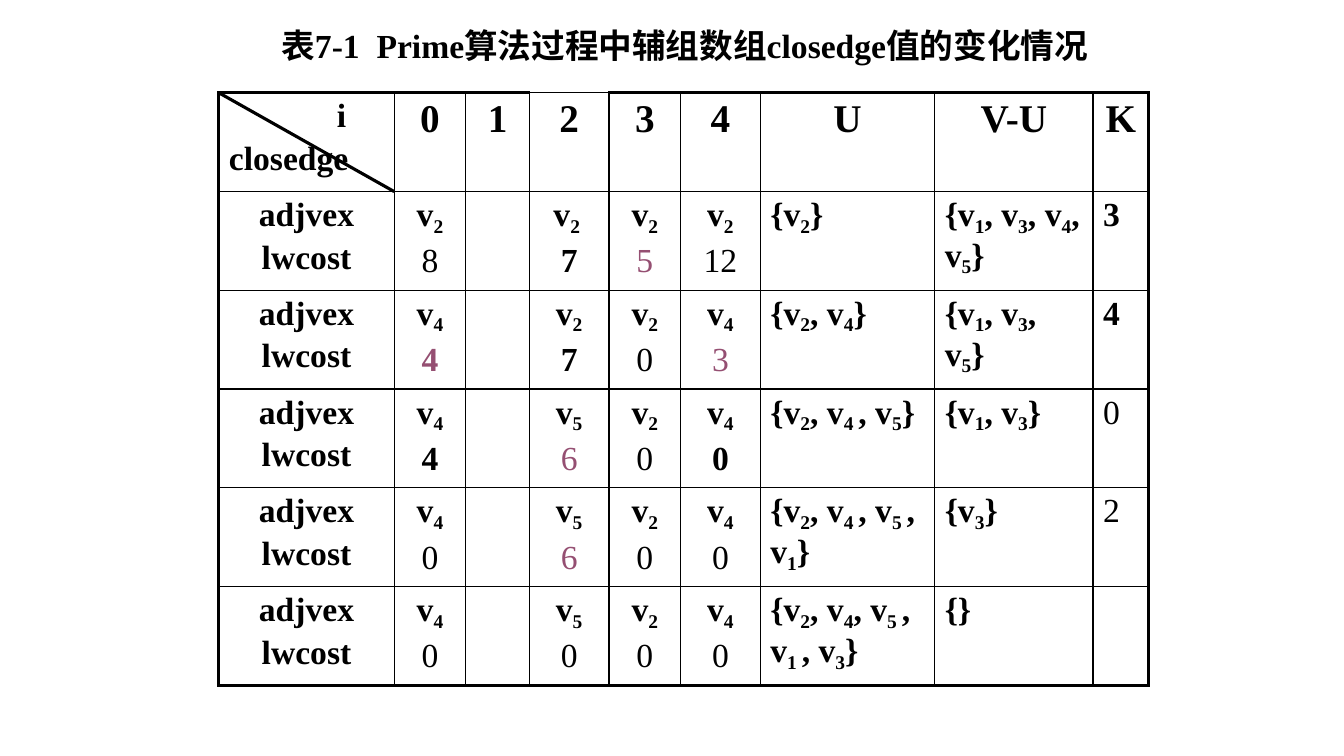
from lxml import etree
from pptx import Presentation
from pptx.dml.color import RGBColor
from pptx.enum.shapes import MSO_CONNECTOR
from pptx.enum.text import MSO_ANCHOR, PP_ALIGN
from pptx.oxml.ns import qn
from pptx.util import Inches, Pt

LINE = MSO_CONNECTOR.STRAIGHT
MIDDLE = MSO_ANCHOR.MIDDLE
LEFT, CENTER = PP_ALIGN.LEFT, PP_ALIGN.CENTER

FONT = "Times New Roman"
INK, ACCENT = "000000", "954F72"
THIN, THICK = 1, 2.25

# Table geometry, in percent of the slide's width and height
X, Y = 16.28, 12.27
COLS = [13.05, 5.33, 4.73, 5.93, 5.33, 5.93, 12.98, 11.78, 4.13]
ROW = 13.07

# "|" parts paragraphs, "_" lowers the next character,
# "~" makes a paragraph regular, "*" gives it the accent colour
HEAD = ["i|closedge", "0", "1", "2", "3", "4", "U", "V-U", "K"]
NAMES = "adjvex|lwcost"
STEPS = [
    ["v_2|~8", "", "v_2 |7", "v_2|~*5", "v_2|~12",
     "{v_2}", "{v_1, v_3, v_4, v_5}", "3"],
    ["v_4|*4", "", "v_2|7", "v_2|~0", "v_4|~*3",
     "{v_2, v_4}", "{v_1, v_3, v_5}", "4"],
    ["v_4|4", "", "v_5|~*6", "v_2|~0", "v_4|0",
     "{v_2, v_4 , v_5}", "{v_1, v_3}", "~0"],
    ["v_4|~0", "", "v_5|~*6", "v_2|~0", "v_4|~0",
     "{v_2, v_4 , v_5 , v_1}", "{v_3}", "~2"],
    ["v_4|~0", "", "v_5|~0", "v_2|~0", "v_4|~0",
     "{v_2, v_4, v_5 , v_1 , v_3}", "{}", ""],
]


def color(code):
    return RGBColor.from_string(code)


def pieces(text):
    """Yield (text, lowered) pairs; a space after an index is lowered too."""
    first, *rest = text.split("_")
    yield first, False
    for part in rest:
        cut = 2 if part[1:2] == " " else 1
        yield part[:cut], True
        yield part[cut:], False


class Page:
    def __init__(self, deck):
        self.wide, self.high = deck.slide_width, deck.slide_height
        self.shapes = deck.slides.add_slide(deck.slide_layouts[6]).shapes
        self.style = {"name": FONT, "size": Pt(24), "bold": True}

    def spot(self, x, y):
        """Turn percentages of the slide into lengths."""
        return round(self.wide * x / 100), round(self.high * y / 100)

    def fill_text(self, frame, text, align, **extra):
        for n, line in enumerate(text.split("|")):
            para = frame.add_paragraph() if n else frame.paragraphs[0]
            para.alignment = align
            if n:
                para.space_before = Pt(4)
            look = {**self.style, **extra}
            if "~" in line:
                look["bold"] = False
            tint = ACCENT if "*" in line else INK
            for words, low in pieces(line.strip("~*")):
                if words:
                    self.add_run(para, words, low, look, tint)

    def add_run(self, para, words, low, look, tint):
        run = para.add_run()
        run.text = words
        for key, value in look.items():
            setattr(run.font, key, value)
        run.font.color.rgb = color(tint)
        if low:
            run._r.get_or_add_rPr().set("baseline", "-20000")

    def label(self, x, y, w, h, text):
        frame = self.shapes.add_textbox(
            *self.spot(x, y), *self.spot(w, h)).text_frame
        frame.word_wrap = False
        frame.vertical_anchor = MIDDLE
        self.fill_text(frame, text, CENTER)

    def line(self, x1, y1, x2, y2):
        rule = self.shapes.add_connector(
            LINE, *self.spot(x1, y1), *self.spot(x2, y2))
        rule.line.color.rgb = color(INK)
        rule.line.width = Pt(THICK)
        etree.SubElement(rule._element.spPr, qn("a:effectLst"))

    def edge(self, cell, sides):
        props = cell._tc.get_or_add_tcPr()
        for side, width in sides.items():
            ln = etree.SubElement(props, qn(f"a:ln{side}"), w=str(int(Pt(width))))
            fill = etree.SubElement(ln, qn("a:solidFill"))
            etree.SubElement(fill, qn("a:srgbClr"), val=INK)

    def table(self, x, y, cols, row, data):
        tall, last = len(data) - 1, len(cols) - 1
        grid = self.shapes.add_table(
            len(data), len(cols), *self.spot(x, y),
            *self.spot(sum(cols), row * len(data))).table
        grid.first_row = grid.horz_banding = False
        for col, width in zip(grid.columns, cols):
            col.width = self.spot(width, 0)[0]
        for r, line in enumerate(data):
            grid.rows[r].height = self.spot(0, row)[1]
            for c, text in enumerate(line):
                cell = grid.cell(r, c)
                # The top edge stays thin over column "2"
                heavy = {"L": c == 0, "R": c == last,
                         "T": r == 0 and c != 3, "B": r == tall}
                self.edge(cell, {side: THICK if on else THIN
                                 for side, on in heavy.items()})
                cell.fill.background()
                corner = r == c == 0
                center = not corner and (r == 0 or c < 6)
                size = Pt(28) if r == 0 and c else Pt(24)
                self.fill_text(cell.text_frame, text,
                               CENTER if center else LEFT, size=size)
        return grid


def main():
    deck = Presentation()
    deck.slide_width, deck.slide_height = Inches(13.33), Inches(7.5)
    page = Page(deck)
    grid = page.table(X, Y, COLS, ROW, [HEAD] + [[NAMES] + s for s in STEPS])
    top = grid.cell(0, 0).text_frame.paragraphs[0]
    top._p.get_or_add_pPr().set("marL", str(int(Inches(1.07))))
    page.line(X, Y, X + COLS[0], Y + ROW)
    page.label(16.95, 2.8, 67.97, 6.27,
               "表7-1  Prime算法过程中辅组数组closedge值的变化情况")
    deck.save("out.pptx")


if __name__ == "__main__":
    main()
